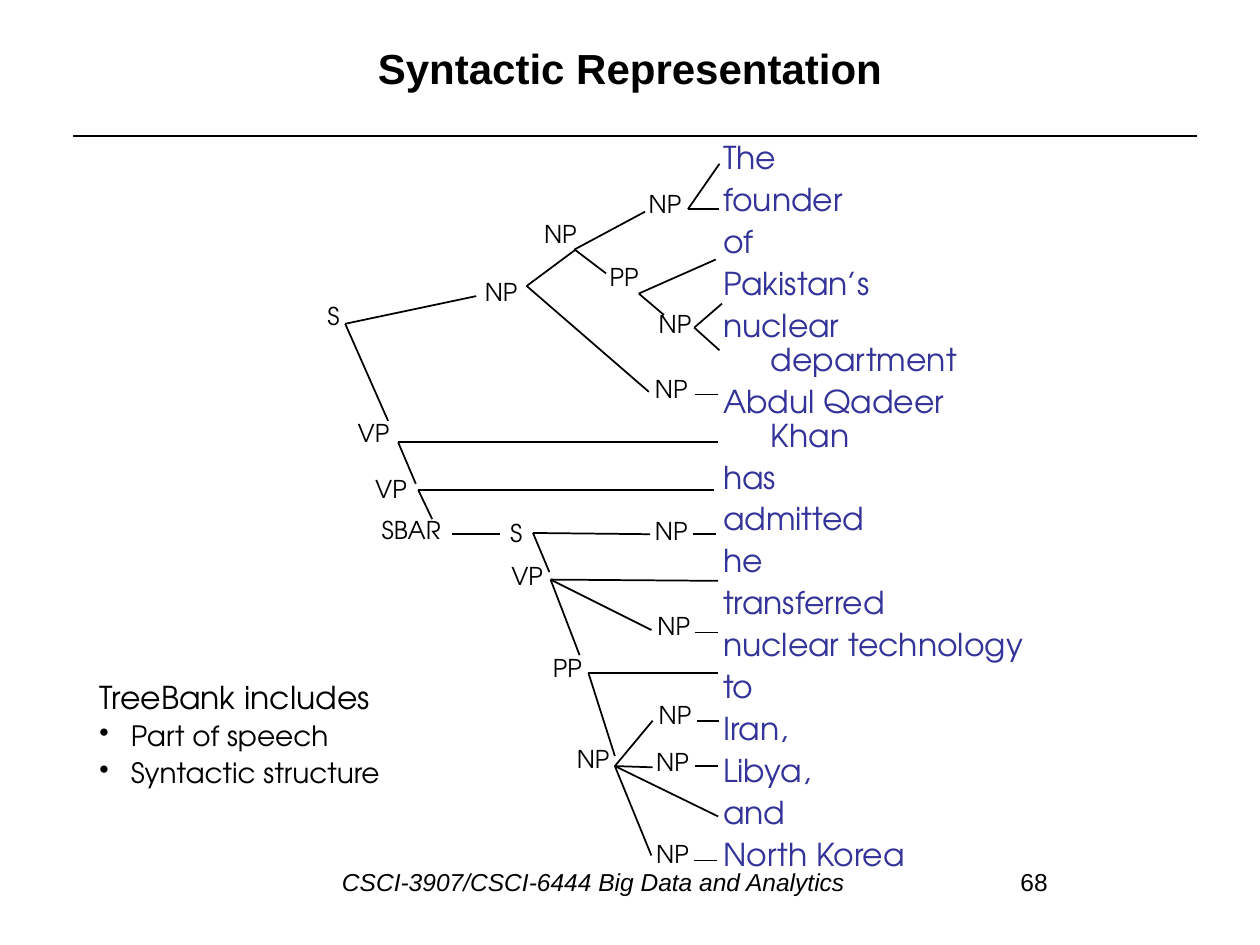
from pptx import Presentation
from pptx.dml.color import RGBColor
from pptx.enum import shapes, text
from pptx.oxml.ns import qn
from pptx.util import Inches, Pt

COLORS = {"ink": "000000", "words": "333399"}
SANS, GEOMETRIC = "Arial", "TeX Gyre Adventor"

TITLE = "Syntactic Representation"
FOOTER = "CSCI-3907/CSCI-6444 Big Data and Analytics"
PAGE = "68"
WORDS = ["The", "founder", "of", "Pakistan’s", "nuclear department",
         "Abdul Qadeer Khan", "has", "admitted", "he", "transferred",
         "nuclear technology", "to", "Iran,", "Libya,", "and", "North Korea"]
NOTE_HEADING = "TreeBank includes"
NOTE_POINTS = ["Part of speech", "Syntactic structure"]

# Tree nodes: label -> left, top of each box
NODES = {
    "S": [(2.5, 2.34), (3.95, 4.06)],
    "SBAR": [(2.93, 4.04)],
    "NP": [(5.05, 1.45), (4.22, 1.69), (5.13, 2.4), (3.75, 2.15), (5.1, 2.92),
           (4.48, 5.86), (5.1, 4.05), (5.11, 6.61), (5.12, 4.8), (5.11, 5.88),
           (5.13, 5.51)],
    "PP": [(4.74, 2.03), (4.29, 5.13)],
    "VP": [(2.74, 3.27), (3.96, 4.4), (2.88, 3.71)],
}
NODE_WIDTHS = {"S": 0.38, "SBAR": 0.75}
NODE_WIDTH, NODE_HEIGHT = 0.47, 0.34

# Branches: parent point -> child points
BRANCHES = [
    ((2.74, 2.57), [(3.78, 2.35), (3.08, 3.34)]),              # S
    ((4.18, 2.27), [(4.57, 1.98), (5.15, 3.11)]),              # subject NP
    ((4.56, 1.98), [(5.12, 1.68), (4.81, 2.17)]),              # founder NP
    ((5.46, 1.66), [(5.71, 1.3), (5.71, 1.66)]),               # The founder
    ((5.07, 2.33), [(5.68, 2.06), (5.27, 2.5)]),               # of PP
    ((5.51, 2.6), [(5.73, 2.41), (5.71, 2.78)]),               # department NP
    ((3.16, 3.51), [(5.7, 3.51), (3.3, 3.84)]),                # has VP
    ((3.32, 3.89), [(5.67, 3.89), (3.43, 4.12)]),              # admitted VP
    ((3.59, 4.24), [(3.97, 4.24)]),                            # SBAR
    ((4.23, 4.23), [(5.16, 4.24), (4.36, 4.54)]),              # inner S
    ((4.37, 4.6), [(5.7, 4.61), (5.17, 5), (4.6, 5.2)]),       # transferred VP
    ((4.67, 5.34), [(5.7, 5.34), (4.88, 6)]),                  # to PP
    ((4.88, 6.08), [(5.18, 5.72), (5.18, 6.09), (5.7, 6.48), (5.17, 6.79)]),
]
# Short stubs from an NP to its word: right end, height
STUBS = [(5.7, 3.13), (5.68, 4.24), (5.7, 5.02), (5.71, 5.72), (5.7, 6.08),
         (5.69, 6.83)]
STUB_LENGTH = 0.18

prs = Presentation()
prs.slide_width, prs.slide_height = Inches(10), Inches(7.5)
slide = prs.slides.add_slide(prs.slide_layouts[5])


def style(paragraph, size, font=GEOMETRIC, color="ink", bold=False, italic=False):
    for run in paragraph.runs:
        run.font.size, run.font.name = Pt(size), font
        run.font.bold, run.font.italic = bold, italic
        run.font.color.rgb = RGBColor.from_string(COLORS[color])


def add_text(lines, left, top, width, height, wrap=True):
    box = slide.shapes.add_textbox(*map(Inches, (left, top, width, height)))
    frame = box.text_frame
    frame.word_wrap = wrap
    frame.text = "\n".join(lines)
    return frame.paragraphs


def add_line(start, end, width=1):
    line = slide.shapes.add_connector(
        shapes.MSO_CONNECTOR.STRAIGHT, *map(Inches, (*start, *end)))
    line.line.width = Pt(width)
    line.line.color.rgb = RGBColor.from_string(COLORS["ink"])
    properties = line._element.spPr
    properties.append(properties.makeelement(qn("a:effectLst"), {}))


def hang(paragraph, indent, bullet=None):
    properties = paragraph._p.get_or_add_pPr()
    properties.set("marL", str(Inches(indent)))
    properties.set("indent", str(-Inches(indent)))
    if bullet:
        properties.append(
            properties.makeelement(qn("a:buChar"), {"char": bullet}))


# Title and rule
title = slide.shapes.title
title.left, title.top, title.width, title.height = map(Inches, (0.5, 0.15, 9, 0.78))
title.text_frame.text = TITLE
title.text_frame.vertical_anchor = text.MSO_ANCHOR.MIDDLE
heading = title.text_frame.paragraphs[0]
heading.alignment = text.PP_ALIGN.CENTER
style(heading, 24, SANS, bold=True)
add_line((0.58, 1.08), (9.5, 1.08), 0.75)

# Footer and page number
footer = add_text([FOOTER], 2.17, 6.83, 5.08, 0.52)[0]
footer.alignment = text.PP_ALIGN.CENTER
style(footer, 14, SANS, italic=True)
style(add_text([PAGE], 8, 6.83, 0.75, 0.52)[0], 14, SANS)

# Sentence, one word or phrase per paragraph
for i, word in enumerate(add_text(WORDS, 5.64, 1.08, 2.6, 6.08)):
    hang(word, 0.38)
    word.line_spacing = 0.9
    if i:
        word.space_before = Pt(4.5)
    style(word, 18, color="words")

# Syntax tree
for label, places in NODES.items():
    for left, top in places:
        width = NODE_WIDTHS.get(label, NODE_WIDTH)
        style(add_text([label], left, top, width, NODE_HEIGHT)[0], 14)
for parent, children in BRANCHES:
    for child in children:
        add_line(parent, child)
for right, height in STUBS:
    add_line((right - STUB_LENGTH, height), (right, height))

# Note on the TreeBank
note_heading, *note_points = add_text(
    [NOTE_HEADING] + NOTE_POINTS, 0.69, 5.33, 2.85, 1.35, wrap=False)
hang(note_heading, 0.25)
style(note_heading, 18)
for point in note_points:
    hang(point, 0.25, "•")
    point.line_spacing = 0.9
    point.space_before = Pt(4)
    style(point, 16)

prs.save("out.pptx")
